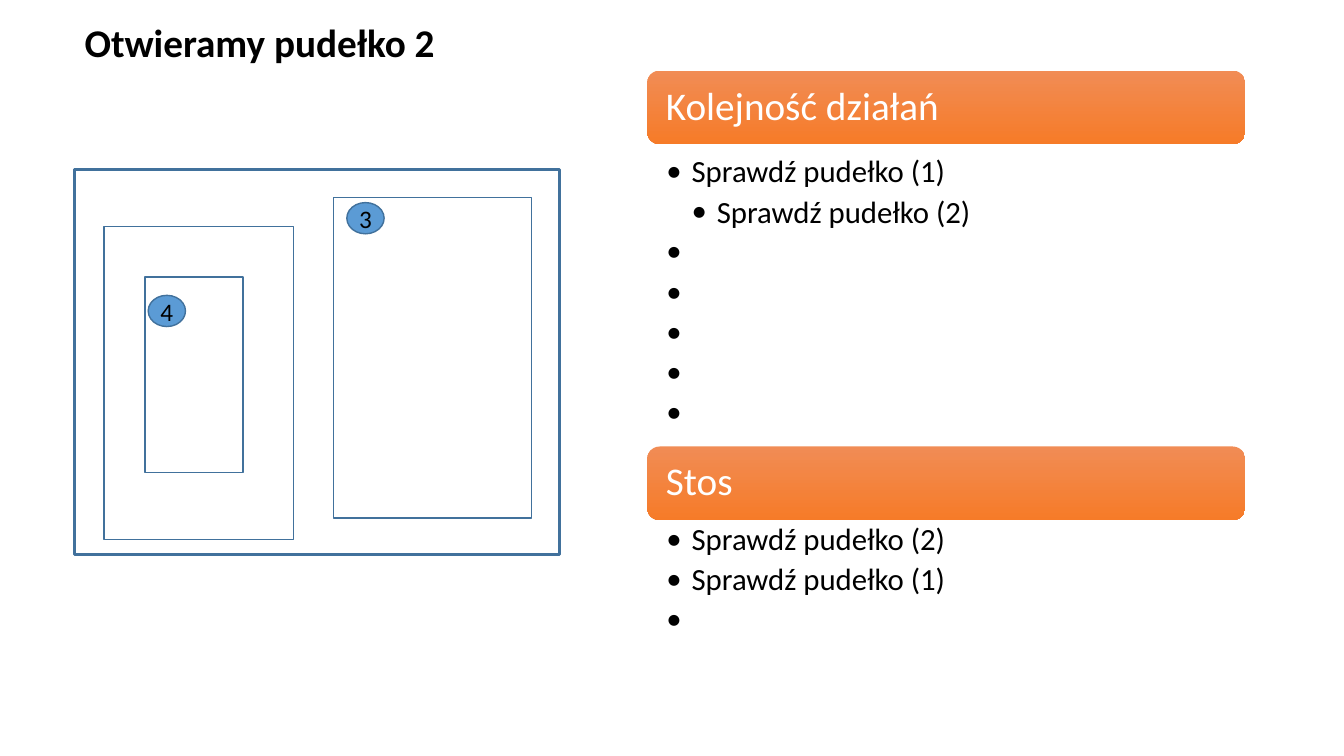
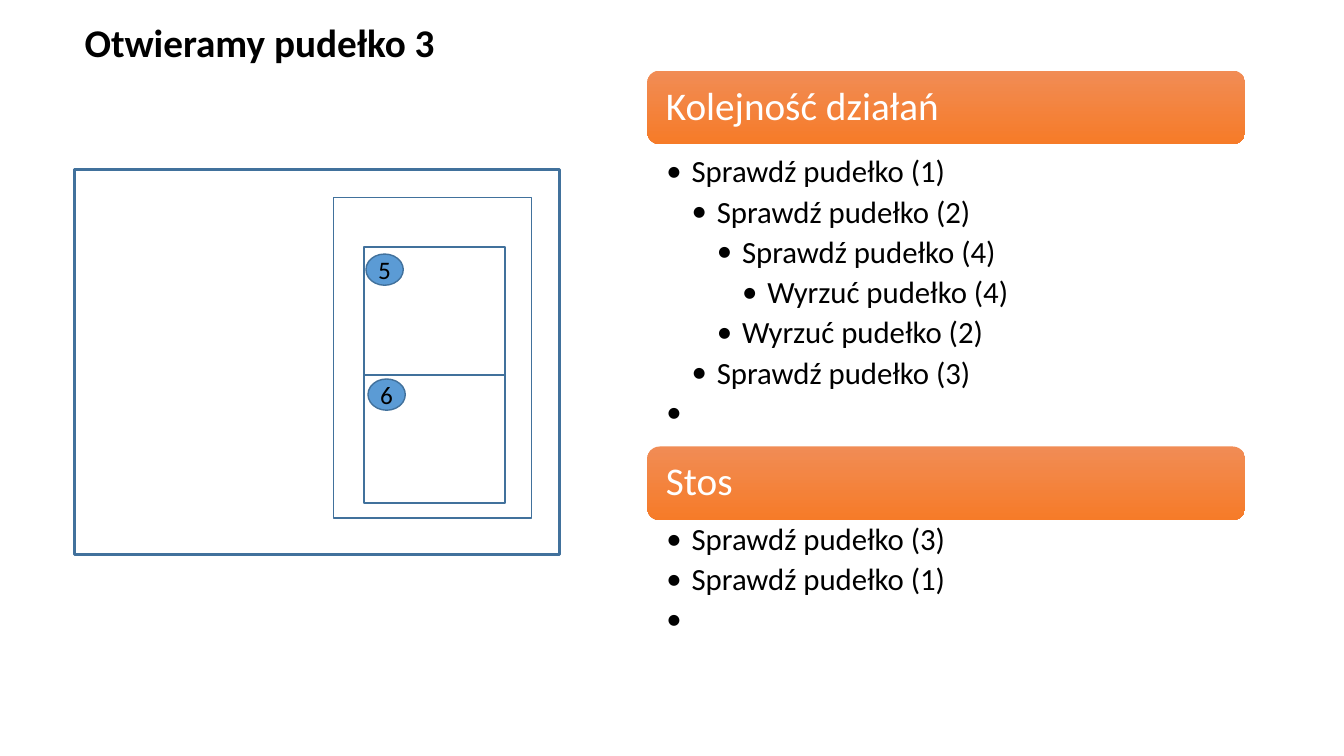
from lxml.etree import SubElement
from pptx import Presentation
from pptx.dml.color import RGBColor
from pptx.enum.shapes import MSO_SHAPE
from pptx.enum.text import MSO_ANCHOR, PP_ALIGN
from pptx.oxml.ns import qn
from pptx.util import Inches, Pt

FONT = "Calibri"
BLACK, WHITE = "000000", "FFFFFF"
BLUE, EDGE = "5B9BD5", "41719C"
BAR = ("F18C55", "F67B28")
OUTER = (0.74, 1.68, 4.81, 3.82)
PANEL = (6.42, 0.7, 5.93, 5.7)
BAR_H = 0.73
STEP = 0.25
TWO = (0.29, 0.57, 1.88, 3.1)
THREE = (2.57, 0.28, 1.96, 3.18)
FOUR = (0.7, 1.07, 0.97, 1.94)
FIVE = (2.87, 0.77, 1.4, 1.27)
SIX = (2.87, 2.04, 1.4, 1.27)


def rgb(code):
    return RGBColor.from_string(code)


def bullet(para, level):
    para.level = level
    props = para._p.get_or_add_pPr()
    props.set("marL", str(Inches(STEP * level)))
    props.set("indent", str(-Inches(STEP)))
    color = SubElement(props, qn("a:buClr"))
    SubElement(color, qn("a:srgbClr"), val=BLACK)
    SubElement(props, qn("a:buFont"), typeface=FONT)
    SubElement(props, qn("a:buChar"), char="•")


def write(shape, rows, size=18, color=BLACK, bold=False, align=PP_ALIGN.LEFT,
          anchor=MSO_ANCHOR.TOP, inset=(0.1, 0.05, 0.1, 0.05),
          line=1.0, after=0):
    frame = shape.text_frame
    frame.word_wrap = True
    frame.vertical_anchor = anchor
    (frame.margin_left, frame.margin_top,
     frame.margin_right, frame.margin_bottom) = map(Inches, inset)
    for index, (level, text) in enumerate(rows):
        para = frame.add_paragraph() if index else frame.paragraphs[0]
        if level:
            bullet(para, level)
        para.alignment = align
        para.line_spacing = line
        para.space_after = Pt(after)
        run = para.add_run()
        run.text = text
        font = run.font
        font.name, font.size, font.bold = FONT, Pt(size), bold
        font.color.rgb = rgb(color)


def text_box(slide, box, rows, **style):
    shape = slide.shapes.add_textbox(*map(Inches, box))
    write(shape, rows, **style)


def add_shape(slide, kind, box, fill=None, edge=None, width=1):
    shape = slide.shapes.add_shape(kind, *map(Inches, box))
    shape.shadow.inherit = False
    if fill:
        shape.fill.solid()
        shape.fill.fore_color.rgb = rgb(fill)
    else:
        shape.fill.background()
    if edge:
        shape.line.color.rgb = rgb(edge)
        shape.line.width = Pt(width)
    else:
        shape.line.fill.background()
    return shape


def add_bar(slide, box, text):
    bar = add_shape(slide, MSO_SHAPE.ROUNDED_RECTANGLE, box)
    bar.fill.gradient()
    bar.fill.gradient_angle = 270
    for stop, color, place in zip(bar.fill.gradient_stops, BAR, (0, 1)):
        stop.color.rgb = rgb(color)
        stop.position = place
    write(bar, [(0, text)], size=28, color=WHITE, line=0.9,
          anchor=MSO_ANCHOR.MIDDLE, inset=(0.15,) * 4)


def add_panel(slide, box, steps, stack):
    left, top, width, height = box
    parts = [("Kolejność działań", steps, 0, 0.81, 3.73),
             ("Stos", stack, 3.73, 4.46, height)]
    for head, rows, start, body, end in parts:
        add_bar(slide, (left, top + start, width, BAR_H), head)
        text_box(slide, (left, top + body, width, end - body), rows, size=22,
                 line=0.9, after=5, inset=(0.19, 0.04, 0.22, 0.04))


def add_boxes(slide, box, inner, badges):
    left, top = box[:2]
    add_shape(slide, MSO_SHAPE.RECTANGLE, box, edge=EDGE, width=2)
    for x, y, width, height in inner:
        add_shape(slide, MSO_SHAPE.RECTANGLE,
                  (left + x, top + y, width, height), edge=EDGE)
    for label, x, y in badges:
        oval = add_shape(slide, MSO_SHAPE.OVAL,
                         (left + x, top + y, 0.37, 0.31), BLUE, EDGE)
        write(oval, [(0, label)], align=PP_ALIGN.CENTER,
              anchor=MSO_ANCHOR.MIDDLE, inset=(0,) * 4)


def add_page(deck, number, steps, stack, inner, badges):
    slide = deck.slides.add_slide(deck.slide_layouts[6])
    add_panel(slide, PANEL, steps, stack)
    add_boxes(slide, OUTER, inner, badges)
    text_box(slide, (0.74, 0.13, 12.59, 0.57),
             [(0, f"Otwieramy pudełko {number}")], size=28, bold=True)


def check(level, number):
    return level, f"Sprawdź pudełko ({number})"


def toss(level, number):
    return level, f"Wyrzuć pudełko ({number})"


def main():
    deck = Presentation()
    deck.slide_width, deck.slide_height = Inches(13.33), Inches(7.5)
    empty = (1, " ")
    start = [check(1, 1), check(2, 2)]
    add_page(deck, 2, start + [empty] * 5,
             [check(1, 2), check(1, 1), empty],
             [FOUR, THREE, TWO],
             [("3", 2.7, 0.33), ("4", 0.73, 1.25)])
    add_page(deck, 3,
             start + [check(3, 4), toss(4, 4), toss(3, 2), check(2, 3), empty],
             [check(1, 3), check(1, 1), empty],
             [THREE, FIVE, SIX],
             [("5", 2.89, 0.84), ("6", 2.91, 2.08)])
    deck.save("out.pptx")


if __name__ == "__main__":
    main()
